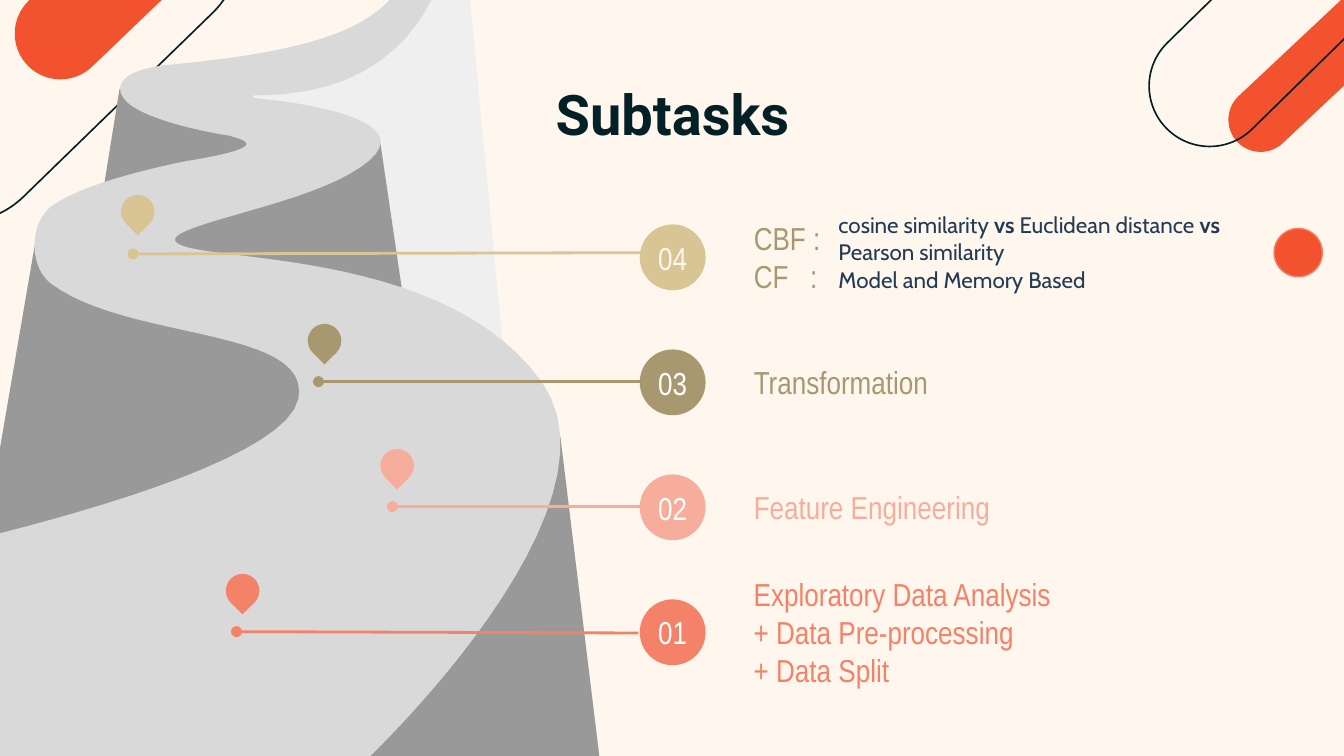
from dataclasses import dataclass
from itertools import pairwise
from math import atan2, degrees, hypot
from typing import Optional

from lxml.etree import SubElement
from pptx import Presentation
from pptx.dml.color import RGBColor
from pptx.enum.shapes import MSO_CONNECTOR as Connector, MSO_SHAPE as Preset
from pptx.enum.text import MSO_ANCHOR as Anchor, MSO_AUTO_SIZE as AutoSize, PP_ALIGN as Align
from pptx.oxml.ns import qn
from pptx.util import Inches, Pt

COLORS = {
    "cream": "FFF6EE", "ink": "032026", "navy": "213B55", "white": "FFFFFF",
    "orange": "F2522E", "coral": "F38268", "pink": "F7AD9B", "olive": "A79870",
    "sand": "D8C593", "haze": "EFEFEF", "cliff": "999999", "road": "D9D9D9",
}
Point = tuple[float, float]
PAGE_WIDTH = 10
PAGE_HEIGHT = PAGE_WIDTH * 9 / 16
BADGE_LEFT, BADGE_SIZE, FIRST_TOP, ROW_PITCH = 4.76, 0.49, 1.67, 0.93
PIN_SIZE = 0.25
CURVE_STEPS = 24


@dataclass
class Capsule:
    low: Point
    high: Point
    radius: float
    fill: Optional[str] = None
    line: Optional[str] = None


@dataclass
class Step:
    number: str
    color: str
    label: str
    label_width: float
    pin: Point
    line_start: Point
    line_end: Point
    label_color: str
    number_color: str = "white"


@dataclass
class Detail:
    top: float
    spans: list[tuple[str, bool]]


CAPSULES = [
    Capsule((9.38, 0.89), (10.2, 0.12), 0.24, fill="orange"),
    Capsule((9, 0.64), (9.97, -0.31), 0.45, line="ink"),
    Capsule((0.45, 0.25), (1.65, -0.9), 0.34, fill="orange"),
    Capsule((-0.28, 1), (1.13, -0.37), 0.65, line="ink"),
]

SLOPES: list[tuple[str, list[Point]]] = [
    ("haze", [(3.4, -1.01), (3.17, -0.44), (3.13, -0.1), (2.68, 0.41), (1.71, 0.68),
              (2.01, 2.31), (3.76, 2.76)]),
    ("cliff", [(0.89, 0.66), (0.75, 1.53), (1.96, 1.29), (1.96, 0.92)]),
    ("cliff", [(2.83, 1.06), (1.38, 1.44), (1.08, 2.02), (3.02, 2.35)]),
    ("cliff", [(4.17, 3.25), (2.55, 4.62), (2.55, 5.63), (4.46, 5.63)]),
    ("cliff", [(0.26, 1.82), (-0.21, 4.56), (2.73, 3.57), (2.27, 2.45)]),
]

ROAD: list[list[Point]] = [
    [(3.26, -1.68)], [(2.85, -0.83)], [(3.16, -0.92)],
    [(3.12, -0.01), (2.96, 0.32), (1.28, 0.48)],
    [(0.84, 0.52), (0.84, 0.68), (0.97, 0.78)],
    [(1.16, 0.92), (1.64, 1), (1.71, 1.01)],
    [(1.8, 1.04), (2.06, 1.09), (1.38, 1.2)],
    [(0.85, 1.31), (0.55, 1.42), (0.39, 1.53)],
    [(0.22, 1.65), (0.21, 1.98), (0.38, 2.11)],
    [(0.95, 2.54), (2.33, 2.43), (2.22, 2.97)],
    [(2.09, 3.58), (-0.92, 4.18), (-0.92, 4.18)],
    [(-0.92, 5.63)], [(2.75, 5.63)],
    [(2.75, 5.63), (4.7, 3.78), (4.03, 2.84)],
    [(3.35, 1.89), (1.7, 1.95), (1.36, 1.83)],
    [(1.04, 1.71), (2.11, 1.57), (2.59, 1.3)],
    [(3.41, 0.85), (1.89, 0.73), (1.89, 0.73)],
    [(1.88, 0.73), (1.88, 0.71), (1.89, 0.71)],
    [(1.9, 0.71), (1.9, 0.71), (1.91, 0.71)],
    [(3.53, 0.71), (3.39, -0.92), (3.39, -0.92)],
    [(3.69, -0.83)],
]

STEPS = [
    Step("04", "sand", "CBF :\nCF   :", 1.71, (0.9, 1.45), (4.82, 1.88), (0.99, 1.89),
         "olive", "cream"),
    Step("03", "olive", "Transformation", 1.71, (2.29, 2.41), (4.84, 2.84), (2.37, 2.84), "olive"),
    Step("02", "pink", "Feature Engineering", 2.55, (2.83, 3.34), (4.84, 3.77), (2.92, 3.77),
         "pink"),
    Step("01", "coral", "Exploratory Data Analysis\n+ Data Pre-processing\n+ Data Split", 2.73,
         (1.68, 4.27), (4.75, 4.71), (1.76, 4.7), "coral"),
]

DETAILS = [
    Detail(1.47, [("cosine similarity ", False), ("vs", True), (" Euclidean distance ", False),
                  ("vs", True), (" Pearson similarity", False)]),
    Detail(1.88, [("Model and Memory Based", False)]),
]


def rgb(name: str) -> RGBColor:
    return RGBColor.from_string(COLORS[name])


def paint(shape, fill: Optional[str] = None, line: Optional[str] = None, width: float = 0.88) -> None:
    shape.shadow.inherit = False
    if fill:
        shape.fill.solid()
        shape.fill.fore_color.rgb = rgb(fill)
    else:
        shape.fill.background()
    if line:
        shape.line.color.rgb = rgb(line)
        shape.line.width = Pt(width)
    else:
        shape.line.fill.background()


def add_preset(slide, preset: Preset, left: float, top: float, width: float, height: float):
    return slide.shapes.add_shape(preset, Inches(left), Inches(top), Inches(width), Inches(height))


def add_capsule(slide, capsule: Capsule) -> None:
    (x1, y1), (x2, y2) = capsule.low, capsule.high
    height = 2 * capsule.radius
    width = hypot(x2 - x1, y2 - y1) + height
    bar = add_preset(slide, Preset.ROUNDED_RECTANGLE, (x1 + x2 - width) / 2,
                     (y1 + y2 - height) / 2, width, height)
    bar.adjustments[0] = 0.5
    bar.rotation = degrees(atan2(y2 - y1, x2 - x1))
    paint(bar, capsule.fill, capsule.line)


def curve_points(start: Point, controls: list[Point]) -> list[Point]:
    points = [start, *controls]
    curve = []
    for index in range(1, CURVE_STEPS + 1):
        t = index / CURVE_STEPS
        weights = ((1 - t) ** 3, 3 * t * (1 - t) ** 2, 3 * t * t * (1 - t), t ** 3)
        curve.append((sum(w * p[0] for w, p in zip(weights, points)),
                      sum(w * p[1] for w, p in zip(weights, points))))
    return curve


def road_points() -> list[Point]:
    outline = [ROAD[0][0]]
    for before, segment in pairwise(ROAD):
        outline += segment if len(segment) == 1 else curve_points(before[-1], segment)
    return outline


def add_outline(slide, points: list[Point], fill: str) -> None:
    start, *rest = [(Inches(x), Inches(y)) for x, y in points]
    builder = slide.shapes.build_freeform(*start)
    builder.add_line_segments(rest, close=True)
    paint(builder.convert_to_shape(), fill)


def set_frame(frame, anchor: Anchor) -> None:
    frame.word_wrap = True
    frame.auto_size = AutoSize.NONE
    frame.vertical_anchor = anchor
    frame.margin_left = frame.margin_right = frame.margin_top = frame.margin_bottom = Inches(0.1)


def style_text(frame, font: str, size: float, color: str, align: Align = Align.LEFT) -> None:
    for para in frame.paragraphs:
        para.alignment = align
        for span in para.runs:
            span.font.name, span.font.size = font, Pt(size)
            span.font.color.rgb = rgb(color)


def add_box(slide, left: float, top: float, width: float, height: float, anchor: Anchor):
    box = slide.shapes.add_textbox(Inches(left), Inches(top), Inches(width), Inches(height))
    set_frame(box.text_frame, anchor)
    return box.text_frame


def add_step(slide, step: Step, top: float) -> None:
    ends = [Inches(value) for value in (*step.line_start, *step.line_end)]
    pointer = slide.shapes.add_connector(Connector.STRAIGHT, *ends)
    pointer.line.color.rgb, pointer.line.width = rgb(step.color), Pt(1.5)
    SubElement(pointer.line._get_or_add_ln(), qn("a:tailEnd"), type="oval")
    SubElement(pointer._element.spPr, qn("a:effectLst"))

    badge = add_preset(slide, Preset.OVAL, BADGE_LEFT, top, BADGE_SIZE, BADGE_SIZE)
    paint(badge, step.color)
    set_frame(badge.text_frame, Anchor.MIDDLE)
    badge.text_frame.word_wrap = False
    badge.text_frame.text = step.number
    style_text(badge.text_frame, "Arial Narrow", 17, step.number_color, Align.CENTER)

    label = add_box(slide, 5.51, top - 0.07, step.label_width, 0.62, Anchor.MIDDLE)
    label.text = step.label
    style_text(label, "Arial Narrow", 17, step.label_color)

    pin = add_preset(slide, Preset.TEAR, *step.pin, PIN_SIZE, PIN_SIZE)
    pin.rotation = 135
    paint(pin, step.color)


def add_detail(slide, detail: Detail) -> None:
    frame = add_box(slide, 6.14, detail.top, 3.61, 0.83, Anchor.TOP)
    para = frame.paragraphs[0]
    para.space_after = Pt(12)
    for words, bold in detail.spans:
        span = para.add_run()
        span.text, span.font.bold = words, bold
    style_text(frame, "Cabin", 12, "navy")


def add_title(slide, words: str) -> None:
    title = slide.shapes.title
    title.left, title.top, title.width, title.height = map(Inches, (0.79, 0.49, 8.43, 0.63))
    set_frame(title.text_frame, Anchor.TOP)
    title.text_frame.text = words
    style_text(title.text_frame, "Roboto", 30, "ink", Align.CENTER)
    title.text_frame.paragraphs[0].runs[0].font.bold = True


def main() -> None:
    deck = Presentation()
    deck.slide_width, deck.slide_height = Inches(PAGE_WIDTH), Inches(PAGE_HEIGHT)
    page = deck.slides.add_slide(deck.slide_layouts[5])
    page.background.fill.solid()
    page.background.fill.fore_color.rgb = rgb("cream")
    for capsule in CAPSULES:
        add_capsule(page, capsule)
    paint(add_preset(page, Preset.OVAL, 9.48, 1.7, 0.36, 0.36), "orange", "coral", 0.75)
    for color, points in SLOPES:
        add_outline(page, points, color)
    add_outline(page, road_points(), "road")
    add_title(page, "Subtasks")
    for row, step in enumerate(STEPS):
        add_step(page, step, FIRST_TOP + row * ROW_PITCH)
    for detail in DETAILS:
        add_detail(page, detail)
    deck.save("out.pptx")


if __name__ == "__main__":
    main()
